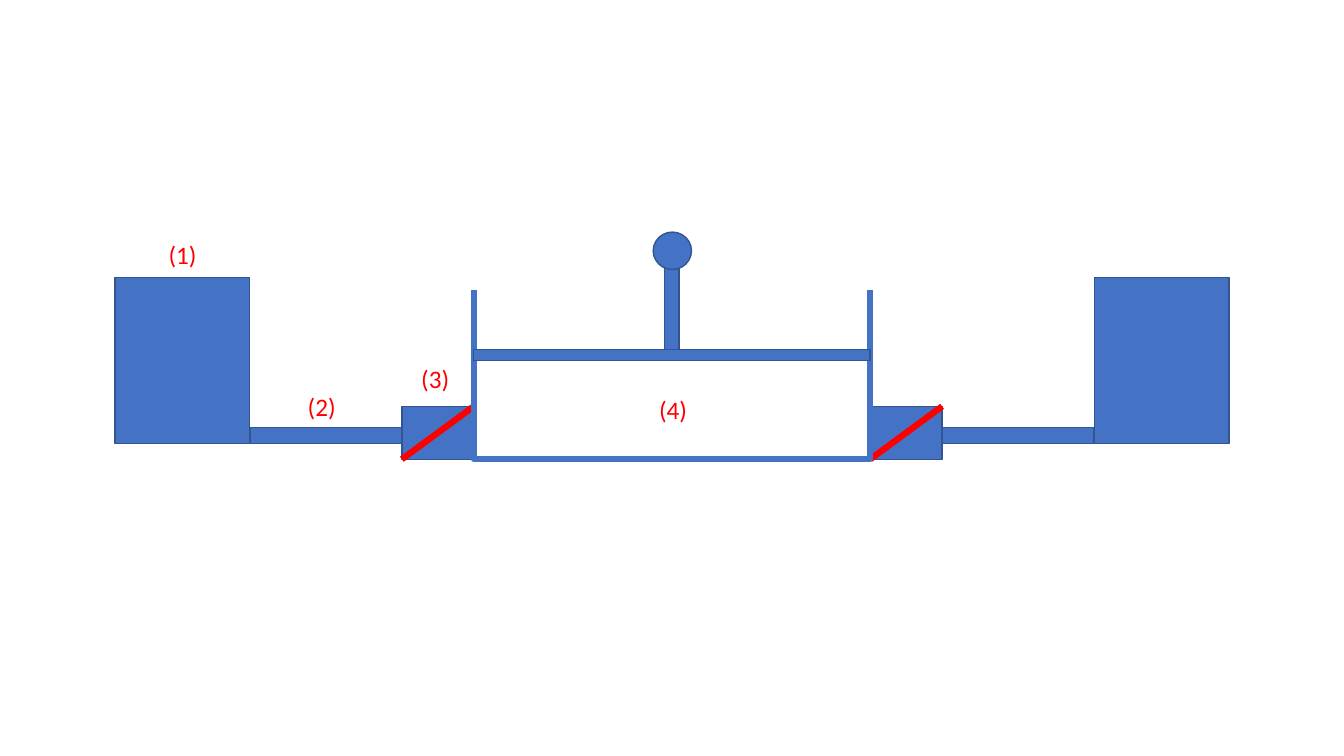
"""Build a slide of a piston vessel fed through valves and pipes by two tanks."""
from pptx import Presentation
from pptx.dml.color import RGBColor
from pptx.enum.shapes import MSO_CONNECTOR as Connector, MSO_SHAPE as Shape
from pptx.enum.text import MSO_AUTO_SIZE as AutoSize
from pptx.oxml.ns import qn
from pptx.util import Inches, Pt

BLUE, EDGE, RED, WHITE = "4472C4", "325491", "FF0000", "FFFFFF"

presentation = Presentation()
presentation.slide_width, presentation.slide_height = Inches(13.33), Inches(7.5)
slide = presentation.slides.add_slide(presentation.slide_layouts[6])
column, row = presentation.slide_width / 100, presentation.slide_height / 100


def color(value):
    """Turn a hex string into a colour."""
    return RGBColor.from_string(value)


def draw(parent, kind, left, top, width, height, fill=BLUE, edge=EDGE, weight=1):
    """Draw a preset shape placed in percent of the slide."""
    shape = parent.add_shape(kind, int(left * column), int(top * row),
                             int(width * column), int(height * row))
    shape.shadow.inherit = False
    if fill:
        shape.fill.solid()
        shape.fill.fore_color.rgb = color(fill)
    else:
        shape.fill.background()
    shape.line.color.rgb = color(edge)
    shape.line.width = Pt(weight)
    return shape


tank_left, tank_width = 8.55, 10
pipe_left, pipe_width = 18.6, 11.35
valve_left, valve_width, valve_top, valve_height = 29.9, 5.35, 53.75, 7
vessel_left, vessel_width = 35.25, 29.5

for left in (tank_left, 100 - tank_left - tank_width):
    draw(slide.shapes, Shape.RECTANGLE, left, 36.7, tank_width, 22)
for left in (pipe_left, 100 - pipe_left - pipe_width):
    draw(slide.shapes, Shape.RECTANGLE, left, 56.55, pipe_width, 2.15)
for left in (valve_left, 100 - valve_left - valve_width):
    valve = slide.shapes.add_group_shape().shapes
    draw(valve, Shape.RECTANGLE, left, valve_top, valve_width, valve_height)
    flap = valve.add_connector(
        Connector.STRAIGHT,
        int(left * column), int((valve_top + valve_height) * row),
        int((left + valve_width) * column), int(valve_top * row))
    flap.line.color.rgb = color(RED)
    flap.line.width = Pt(4.5)
    properties = flap.element.find(qn("p:spPr"))
    properties.append(properties.makeelement(qn("a:effectLst"), {}))

draw(slide.shapes, Shape.RECTANGLE, vessel_left, 35.35, vessel_width, 25.4,
     fill=None, edge=BLUE, weight=4.5)
draw(slide.shapes, Shape.RECTANGLE, vessel_left, 46.25, vessel_width, 1.4)
draw(slide.shapes, Shape.RECTANGLE, 32.55, 33.05, 35.5, 4.95,
     fill=WHITE, edge=WHITE, weight=4.5)
rod = draw(slide.shapes, Shape.RECTANGLE, 46.5, 39.05, 7, 1.9)
rod.rotation = 270
draw(slide.shapes, Shape.OVAL, 48.6, 30.7, 2.85, 4.95)

labels = [("(2)", 22.15, 51.05), ("(1)", 11.8, 31.05),
          ("(4)", 48.3, 51.45), ("(3)", 30.6, 47.45)]
for text, left, top in labels:
    label = slide.shapes.add_textbox(int(left * column), int(top * row),
                                     int(3.6 * column), int(5.35 * row))
    label.text_frame.word_wrap = False
    label.text_frame.auto_size = AutoSize.SHAPE_TO_FIT_TEXT
    run = label.text_frame.paragraphs[0].add_run()
    run.text = text
    run.font.name = "Calibri"
    run.font.size = Pt(18)
    run.font.color.rgb = color(RED)

presentation.save("out.pptx")
